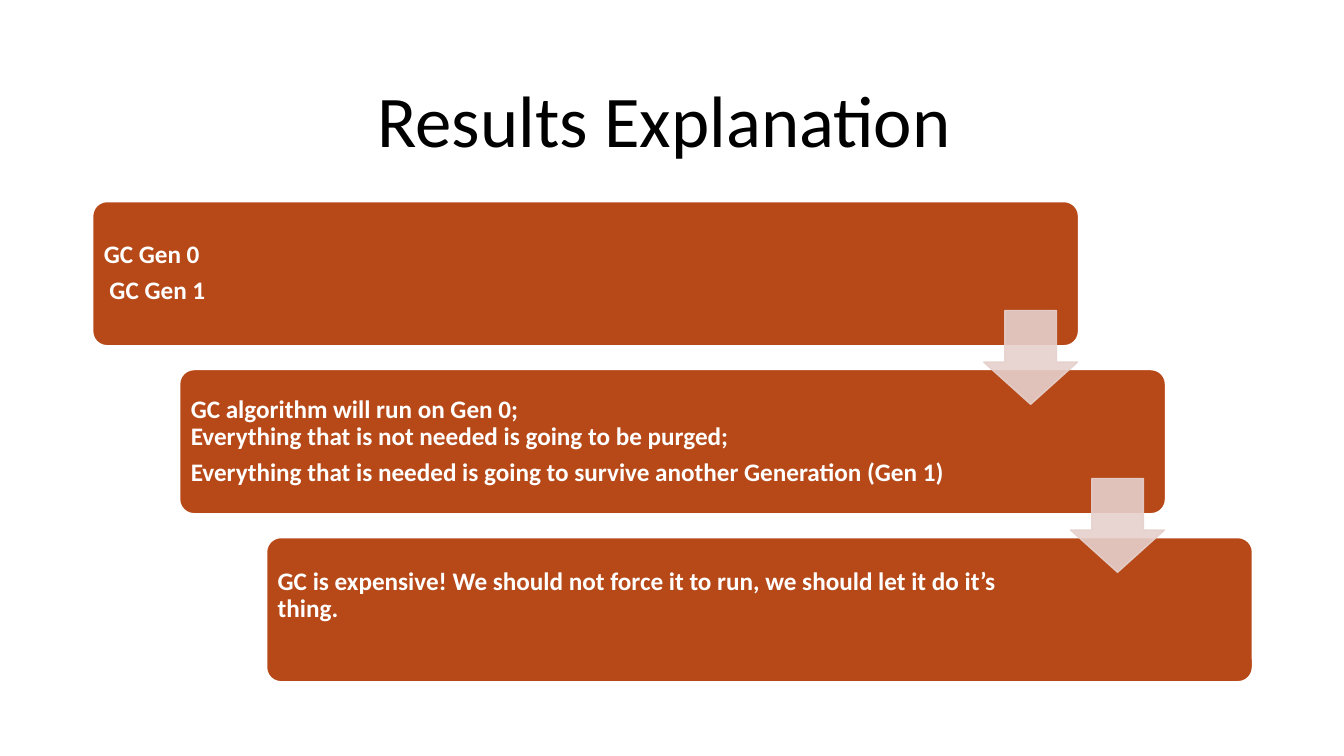
from dataclasses import dataclass

from lxml import etree
from pptx import Presentation
from pptx.dml.color import RGBColor
from pptx.enum import shapes, text
from pptx.oxml import ns
from pptx.util import Pt


@dataclass(frozen=True)
class Theme:
    font: str = "Calibri"
    ink: str = "000000"
    paper: str = "FFFFFF"
    rust: str = "B74919"
    blush: str = "E6D0CC"
    title: float = 52
    body: float = 18
    lead: float = 0.9


@dataclass(frozen=True)
class Rect:
    left: float
    top: float
    width: float
    height: float

    def shift(self, count: int) -> "Rect":
        """Move down the staircase by a number of steps."""
        return Rect(self.left + count * STEP_X, self.top + count * STEP_Y,
                    self.width, self.height)

    def pts(self) -> tuple:
        return Pt(self.left), Pt(self.top), Pt(self.width), Pt(self.height)


@dataclass(frozen=True)
class Stage:
    words: str
    width: float
    foot: float = 5


THEME = Theme()
STEP_X, STEP_Y = 62.1, 120
TITLE = Rect(66.2, 43.9, 828, 89.3)
BOX = Rect(66.2, 144, 704.2, 103)
ARROW = Rect(702.7, 221.8, 67, 67)
PAD = 3
STAGES = [
    Stage("GC Gen 0\n GC Gen 1", 592.5),
    Stage("GC algorithm will run on Gen 0; \v"
          "Everything that is not needed is going to be purged;\n"
          "Everything that is needed is going to survive another Generation (Gen 1)",
          568.8),
    Stage("GC is expensive! We should not force it to run, "
          "we should let it do it’s thing.", 568.8, foot=25),
]


def paint(fill, color: str, alpha: int) -> None:
    """Fill with one colour; alpha is the opacity in percent."""
    fill.solid()
    fill.fore_color.rgb = RGBColor.from_string(color)
    if alpha < 100:
        node = fill._xPr.find(ns.qn("a:solidFill"))[0]
        etree.SubElement(node, ns.qn("a:alpha"), val=str(alpha * 1000))


def draw(slide, kind, rect: Rect, adj: list, fill: str, line: str,
         alpha: int = 100) -> None:
    shape = slide.shapes.add_shape(kind, *rect.pts())
    shape.shadow.inherit = False
    for index, value in enumerate(adj):
        shape.adjustments[index] = value
    paint(shape.fill, fill, alpha)
    shape.line.width = Pt(1)
    paint(shape.line.fill, line, alpha)


def write(slide, rect: Rect, words: str, size: float, color: str, align,
          after: float, bold: bool = False):
    """Add a wrapped, vertically centred text box and return its frame."""
    frame = slide.shapes.add_textbox(*rect.pts()).text_frame
    frame.word_wrap = True
    frame.vertical_anchor = text.MSO_ANCHOR.MIDDLE
    frame.text = words
    for para in frame.paragraphs:
        para.alignment = align
        para.line_spacing = THEME.lead
        para.space_after = Pt(after)
        for run in para.runs:
            run.font.name = THEME.font
            run.font.size = Pt(size)
            run.font.bold = bold
            run.font.color.rgb = RGBColor.from_string(color)
    return frame


def add_stage(slide, stage: Stage, rect: Rect) -> None:
    draw(slide, shapes.MSO_SHAPE.ROUNDED_RECTANGLE, rect, [0.1],
         THEME.rust, THEME.paper)
    area = Rect(rect.left + PAD, rect.top + PAD, stage.width,
                rect.height - 2 * PAD)
    frame = write(slide, area, stage.words, THEME.body, THEME.paper,
                  text.PP_ALIGN.LEFT, 6.3, bold=True)
    frame.margin_left = frame.margin_right = frame.margin_top = Pt(5)
    frame.margin_bottom = Pt(stage.foot)


def main() -> None:
    deck = Presentation()
    deck.slide_width, deck.slide_height = Pt(960), Pt(540)
    slide = deck.slides.add_slide(deck.slide_layouts[6])
    write(slide, TITLE, "Results Explanation ", THEME.title, THEME.ink,
          text.PP_ALIGN.CENTER, 6)
    for index, stage in enumerate(STAGES):
        add_stage(slide, stage, BOX.shift(index))
    for index in range(len(STAGES) - 1):
        draw(slide, shapes.MSO_SHAPE.DOWN_ARROW, ARROW.shift(index),
             [0.55, 0.45], THEME.blush, THEME.blush, alpha=90)
    deck.save("out.pptx")


if __name__ == "__main__":
    main()
